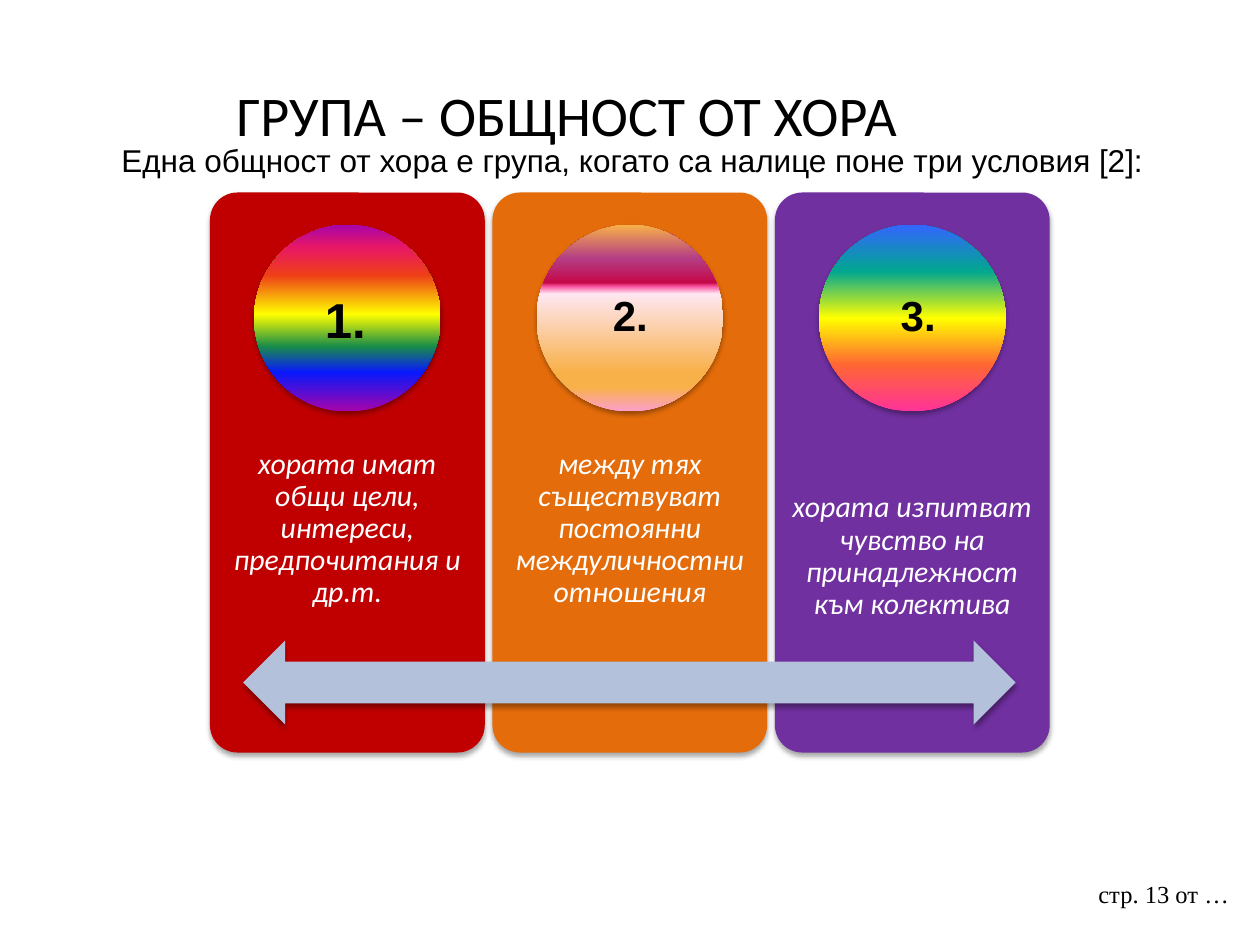
from dataclasses import dataclass

from lxml import etree
from pptx import Presentation
from pptx.dml.color import RGBColor
from pptx.enum.shapes import MSO_SHAPE
from pptx.enum.text import MSO_ANCHOR, PP_ALIGN
from pptx.oxml.ns import qn
from pptx.util import Pt

ROUNDED = MSO_SHAPE.ROUNDED_RECTANGLE
ELLIPSE = MSO_SHAPE.OVAL
DOUBLE_ARROW = MSO_SHAPE.LEFT_RIGHT_ARROW
MIDDLE = MSO_ANCHOR.MIDDLE
TOP = MSO_ANCHOR.TOP
CENTER = PP_ALIGN.CENTER
LEFT = PP_ALIGN.LEFT


@dataclass(frozen=True)
class Theme:
    ink: str = "000000"
    light: str = "FFFFFF"
    arrow: str = "B3C1DB"
    heading_font: str = "Calibri"
    text_font: str = "Arial"
    footer_font: str = "Times New Roman"
    title_size: int = 32
    lead_size: int = 18
    card_size: int = 17
    footer_size: int = 14


THEME = Theme()

CARD_LEFT, CARD_TOP, CARD_WIDTH, CARD_HEIGHT = 120, 110, 157, 320
CARD_PITCH = 161.4
CIRCLE_SIZE = 106.6
NUMBER_LEFT, NUMBER_PITCH = 178.6, 164.5

CARDS = [
    ("1.", 28, "C00000", 238.3,
     "хората имат общи цели, интереси, предпочитания и др.т.",
     [(0, "A603AB"), (21, "0819FB"), (35, "1A8D48"), (52, "FFFF00"),
      (73, "EE3F17"), (88, "E81766"), (100, "A603AB")]),
    ("2.", 24, "E46C0A", 238.3,
     "между тях съществуват постоянни междуличностни отношения",
     [(0, "FC9FCB"), (13, "F8B049"), (21, "F8B049"), (63, "FEE7F2"),
      (67, "F952A0"), (69, "C50849"), (82, "B43E85"), (100, "F8B049")]),
    ("3.", 24, "7030A0", 254,
     "хората изпитват чувство на принадлежност към колектива",
     [(0, "FF3399"), (25, "FF6633"), (50, "FFFF00"), (75, "01A78F"),
      (100, "3366FF")]),
]


def add_span(para, text, font, size, color=THEME.ink, bold=False, italic=False):
    span = para.add_run()
    span.text = text
    span.font.name = font
    span.font.size = Pt(size)
    span.font.bold = bold
    span.font.italic = italic
    span.font.color.rgb = RGBColor.from_string(color)


def add_text(page, left, top, width, height, align=LEFT, anchor=TOP, inset=None):
    box = page.shapes.add_textbox(Pt(left), Pt(top), Pt(width), Pt(height))
    frame = box.text_frame
    frame.word_wrap = True
    frame.vertical_anchor = anchor
    if inset is not None:
        frame.margin_left = frame.margin_right = Pt(inset)
        frame.margin_top = frame.margin_bottom = Pt(inset)
    para = frame.paragraphs[0]
    para.alignment = align
    return para


def add_color(parent, color):
    return etree.SubElement(parent, qn("a:srgbClr"), val=color)


def add_shadow(shape):
    shape.shadow.inherit = False
    effects = shape._element.spPr.find(qn("a:effectLst"))
    shadow = etree.SubElement(
        effects, qn("a:outerShdw"), blurRad=str(Pt(3.1)), dist=str(Pt(1.8)),
        dir="5400000", rotWithShape="0")
    etree.SubElement(add_color(shadow, THEME.ink), qn("a:alpha"), val="35000")


def add_block(page, kind, left, top, width, height, color):
    shape = page.shapes.add_shape(kind, Pt(left), Pt(top), Pt(width), Pt(height))
    shape.fill.solid()
    shape.fill.fore_color.rgb = RGBColor.from_string(color)
    shape.line.fill.background()
    add_shadow(shape)
    return shape


def paint_gradient(shape, stops):
    shape.fill.gradient()
    shape.fill.gradient_angle = 90
    stop_list = shape._element.spPr.find(qn("a:gradFill")).find(qn("a:gsLst"))
    for old_stop in list(stop_list):
        stop_list.remove(old_stop)
    for position, color in stops:
        stop = etree.SubElement(stop_list, qn("a:gs"), pos=str(position * 1000))
        add_color(stop, color)


def add_card(page, index, color, text_top, text, stops):
    left = CARD_LEFT + index * CARD_PITCH
    card = add_block(page, ROUNDED, left, CARD_TOP, CARD_WIDTH, CARD_HEIGHT, color)
    card.adjustments[0] = 0.1
    para = add_text(page, left, text_top, CARD_WIDTH, 128, CENTER, MIDDLE, 9.4)
    para.line_spacing = 0.9
    add_span(para, text, THEME.heading_font, THEME.card_size, THEME.light, italic=True)
    circle_left = left + (CARD_WIDTH - CIRCLE_SIZE) / 2
    circle = add_block(page, ELLIPSE, circle_left, 128.5, CIRCLE_SIZE, CIRCLE_SIZE, color)
    paint_gradient(circle, stops)


def add_number(page, index, number, size):
    para = add_text(page, NUMBER_LEFT + index * NUMBER_PITCH, 162, 39.6, 41)
    add_span(para, number, THEME.text_font, size, bold=True)


def add_title(page, text):
    title = page.shapes.title
    title.left, title.top, title.width, title.height = Pt(0), Pt(20), Pt(648), Pt(90)
    title.text_frame.vertical_anchor = MIDDLE
    para = title.text_frame.paragraphs[0]
    para.alignment = CENTER
    add_span(para, text, THEME.heading_font, THEME.title_size)


def main():
    deck = Presentation()
    deck.slide_width, deck.slide_height = Pt(720), Pt(540)
    page = deck.slides.add_slide(deck.slide_layouts[5])

    add_title(page, "ГРУПА – ОБЩНОСТ ОТ ХОРА")
    lead = add_text(page, 32.4, 77, 658, 29, CENTER)
    add_span(lead, "Една общност от хора е група, когато са налице поне три условия [2]:",
             THEME.text_font, THEME.lead_size)

    for index, (_, _, color, text_top, text, stops) in enumerate(CARDS):
        add_card(page, index, color, text_top, text, stops)
    add_block(page, DOUBLE_ARROW, 139, 366, 441.4, 48, THEME.arrow)
    for index, (number, size, *_) in enumerate(CARDS):
        add_number(page, index, number, size)

    footer = add_text(page, 620.6, 499, 93.6, 37.4)
    add_span(footer, "стр. 13 от …", THEME.footer_font, THEME.footer_size)
    deck.save("out.pptx")


if __name__ == "__main__":
    main()
